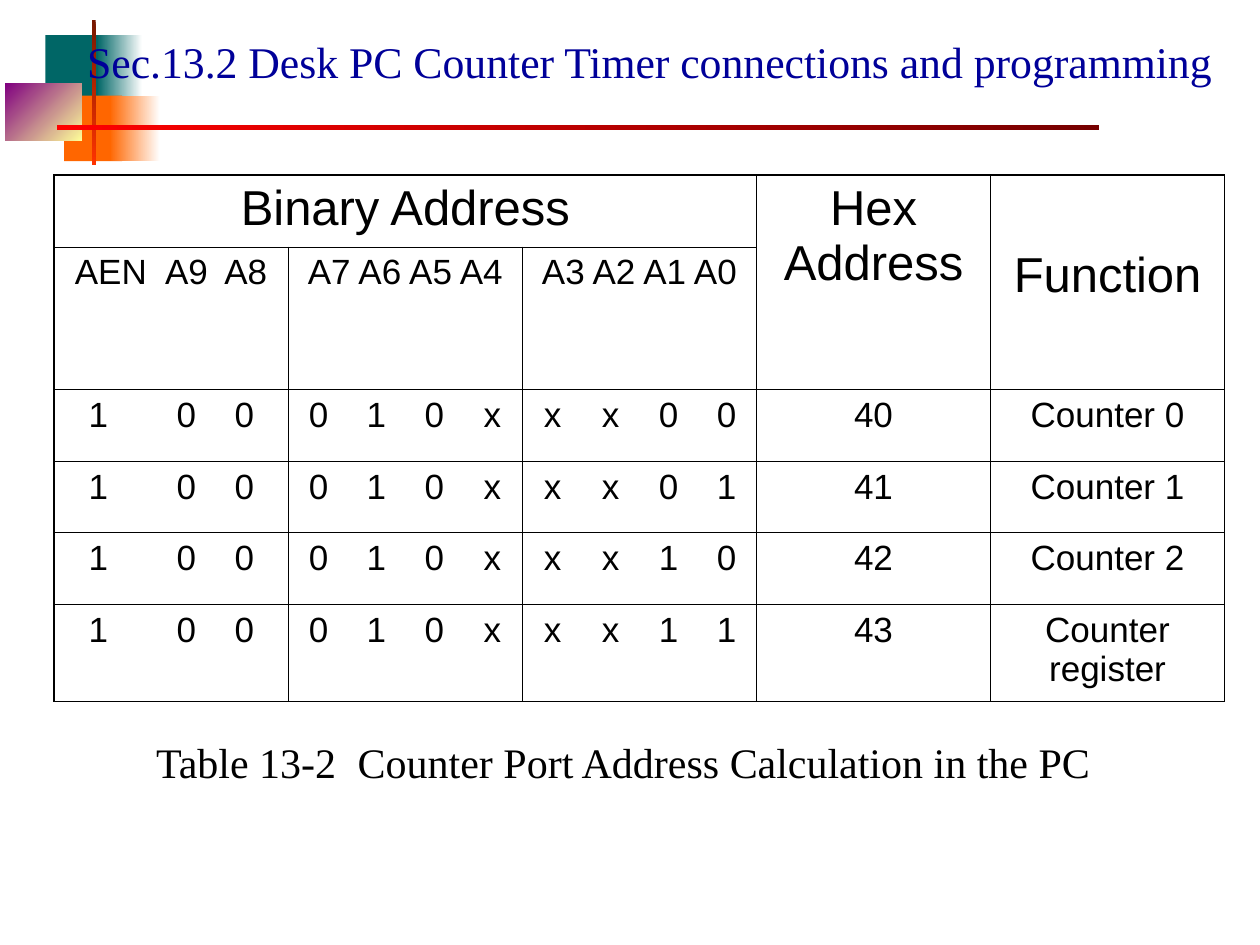
import pptx
import pptx.util
import pptx.dml.color
import pptx.enum.shapes
import pptx.enum.text
import pptx.oxml
from pptx.oxml.ns import qn, nsdecls

WIDTH, HEIGHT = pptx.util.Inches(10), pptx.util.Inches(7.5)
CENTER = pptx.enum.text.PP_ALIGN.CENTER
LEFT = pptx.enum.text.PP_ALIGN.LEFT
THIN, THICK = 0.45, 1.08

# Decoration: left, top, width, height in percent; colours; gradient direction
DECORATION = [
    (3.6, 3.73, 4.8, 6.93, ["006666"], None),
    (7.7, 3.73, 3.6, 6.93, ["FFFFFF", "006666"], 180),
    (5.1, 10.13, 4.6, 6.93, ["FF6600"], None),
    (8.7, 10.13, 4, 6.93, ["FFFFFF", "FF6600"], 180),
    (0.4, 8.8, 6.1, 6.13, ["FFFF99", "800080"], 225),
    (7.3, 2.13, 0.3, 15.33, ["761800", "FF3300"], 90),
    (4.5, 13.2, 82.7, 0.53, ["FF0000", "760000"], 0),
]

# Tab stops in inches, measured from the text edge
AEN_TABS = [(0.35, "ctr"), (0.95, "ctr"), (1.42, "ctr")]
HIGH_TABS = [(0.25, "ctr"), (0.95, "ctr"), (1.41, "ctr")]
NIBBLE_TABS = [(0.14, "ctr"), (0.6, "ctr"), (1.06, "ctr"), (1.52, "ctr")]
CAPTION_TABS = [(1.6, "l")]

ROW_SHARES = [7.6, 15.07, 7.6, 7.6, 7.6, 10.27]
PORTS = [
    ("x x 0 0", "40", "Counter 0"),
    ("x x 0 1", "41", "Counter 1"),
    ("x x 1 0", "42", "Counter 2"),
    ("x x 1 1", "43", "Counter register"),
]


def color(hex_code):
    return pptx.dml.color.RGBColor.from_string(hex_code)


def across(share):
    return int(WIDTH * share / 100)


def down(share):
    return int(HEIGHT * share / 100)


def place(x, y, w, h):
    return across(x), down(y), across(w), down(h)


def write(tf, text, size, font="Arial", ink="000000", align=CENTER, tabs=()):
    p = tf.paragraphs[0]
    p.alignment = align
    if tabs:
        stops = "".join(f'<a:tab pos="{pptx.util.Inches(pos)}" algn="{kind}"/>'
                        for pos, kind in tabs)
        p._p.get_or_add_pPr().append(pptx.oxml.parse_xml(
            f'<a:tabLst {nsdecls("a")}>{stops}</a:tabLst>'))
    r = p.add_run()
    r.text = text
    for name, value in {"size": pptx.util.Pt(size), "name": font}.items():
        setattr(r.font, name, value)
    r.font.color.rgb = color(ink)


def add_block(s, box, colors, angle):
    sp = s.shapes.add_shape(pptx.enum.shapes.MSO_SHAPE.RECTANGLE, *place(*box))
    sp.shadow.inherit = False
    sp.line.fill.background()
    if angle is None:
        sp.fill.solid()
        sp.fill.fore_color.rgb = color(colors[0])
    else:
        sp.fill.gradient()
        # gradient_angle runs counter-clockwise
        sp.fill.gradient_angle = (360 - angle) % 360
        for stop, hex_code in zip(sp.fill.gradient_stops, colors):
            stop.color.rgb = color(hex_code)


def add_text(s, box, text, size, anchor, **look):
    tf = s.shapes.add_textbox(*place(*box)).text_frame
    for name, value in {"word_wrap": True, "vertical_anchor": anchor}.items():
        setattr(tf, name, value)
    write(tf, text, size, font="Times New Roman", **look)


def set_borders(cell, widths):
    tcPr = cell._tc.get_or_add_tcPr()
    for i, (side, width) in enumerate(widths.items()):
        tcPr.insert(i, pptx.oxml.parse_xml(
            f'<a:ln{side} {nsdecls("a")} w="{pptx.util.Pt(width)}">'
            '<a:solidFill><a:srgbClr val="000000"/></a:solidFill>'
            f'</a:ln{side}>'))


def tabbed(words):
    return "".join("\t" + word for word in words.split())


def add_port_table(s):
    rows, cols = len(ROW_SHARES), 5
    table = s.shapes.add_table(
        rows, cols, *place(4.3, 18.53, 92.9, sum(ROW_SHARES))).table
    table.first_row = table.horz_banding = False
    table._tbl.tblPr.find(qn("a:tableStyleId")).text = \
        "{2D5ABB26-0587-4C30-8999-92F81FD0307C}"
    for column in table.columns:
        column.width = across(92.9 / cols)
    for row, share in zip(table.rows, ROW_SHARES):
        row.height = down(share)

    for i in range(rows):
        for j in range(cols):
            cell = table.cell(i, j)
            cell.fill.background()
            set_borders(cell, {
                "L": THICK if j == 0 else THIN,
                "R": THICK if j == cols - 1 else THIN,
                "T": THICK if i == 0 else THIN,
                "B": THICK if i == rows - 1 else THIN,
            })

    # Headings
    table.cell(0, 0).merge(table.cell(0, 2))
    for j in (3, 4):
        table.cell(0, j).merge(table.cell(1, j))
    for j, text in {0: "Binary Address", 3: "Hex Address", 4: "Function"}.items():
        write(table.cell(0, j).text_frame, text, 28)
    table.cell(0, 4).margin_top = pptx.util.Inches(0.58)
    write(table.cell(1, 0).text_frame, tabbed("AEN A9 A8"), 20,
          align=LEFT, tabs=AEN_TABS)
    for j, text in enumerate(["A7 A6 A5 A4", "A3 A2 A1 A0"], 1):
        write(table.cell(1, j).text_frame, text, 20)

    # One row for each port
    for i, (low, address, function) in enumerate(PORTS, 2):
        bits = [("1 0 0", HIGH_TABS), ("0 1 0 x", NIBBLE_TABS), (low, NIBBLE_TABS)]
        for j, (digits, tabs) in enumerate(bits):
            write(table.cell(i, j).text_frame, tabbed(digits), 20,
                  align=LEFT, tabs=tabs)
        for j, text in enumerate([address, function], 3):
            write(table.cell(i, j).text_frame, text, 20)


def main():
    prs = pptx.Presentation()
    prs.slide_width, prs.slide_height = WIDTH, HEIGHT
    s = prs.slides.add_slide(prs.slide_layouts[6])
    anchors = pptx.enum.text.MSO_ANCHOR

    # Corner blocks and rules
    for *box, colors, angle in DECORATION:
        add_block(s, box, colors, angle)

    # Title, table and caption
    add_text(s, (4.3, 2.8, 94.5, 7.33),
             "Sec.13.2 Desk PC Counter Timer connections and programming",
             25, anchors.MIDDLE, ink="000099")
    add_port_table(s)
    add_text(s, (11.4, 77.33, 79.5, 6.67),
             "Table 13-2\tCounter Port Address Calculation in the PC",
             24, anchors.TOP, align=LEFT, tabs=CAPTION_TABS)
    prs.save("out.pptx")


if __name__ == "__main__":
    main()
